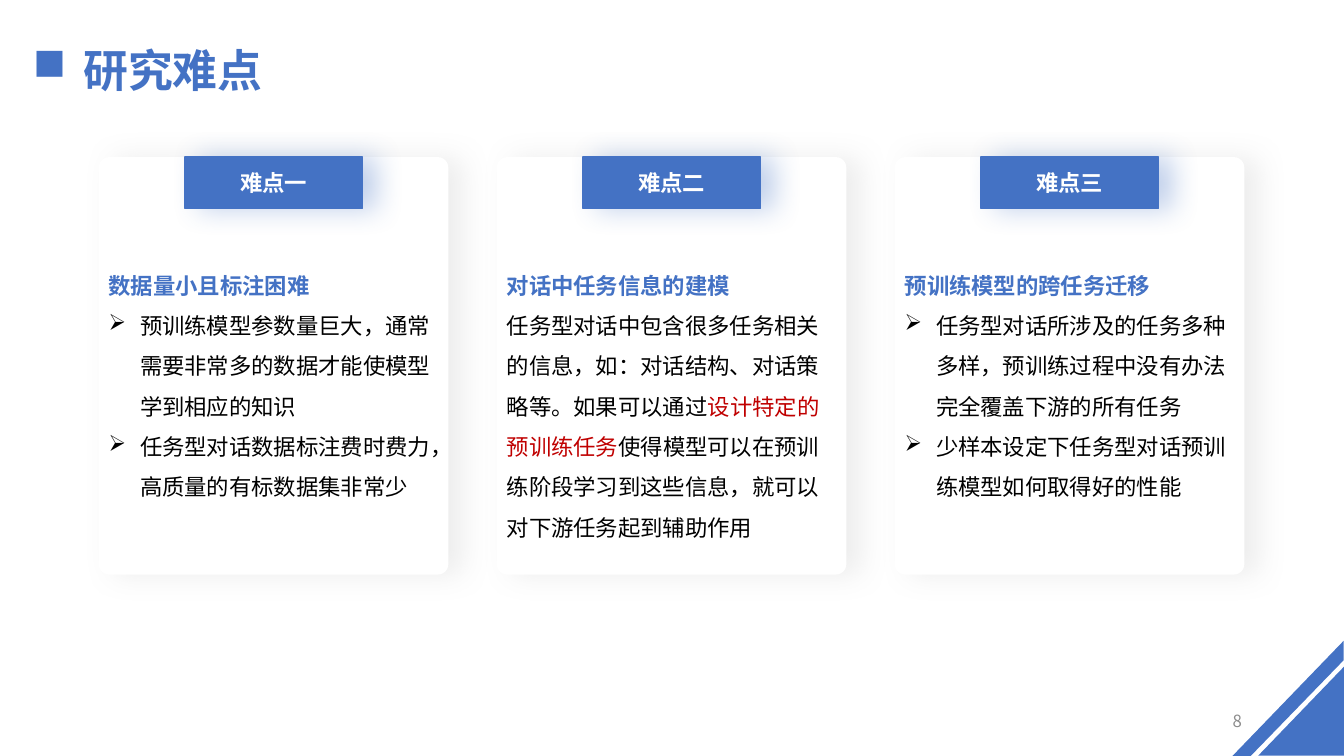
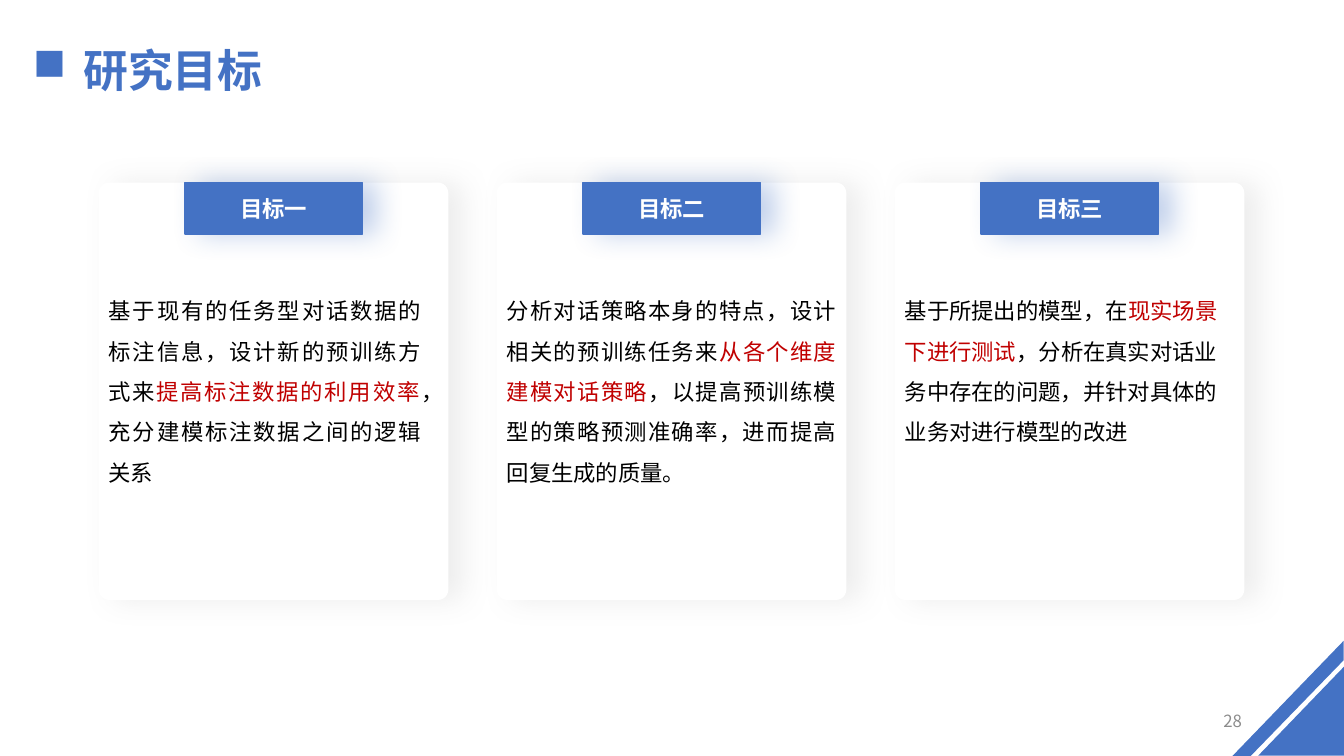
from lxml.etree import SubElement
from pptx import Presentation
from pptx.dml.color import RGBColor
from pptx.enum.shapes import MSO_SHAPE
from pptx.enum.text import MSO_ANCHOR, PP_ALIGN
from pptx.oxml.ns import qn
from pptx.util import Cm, Pt

THEME = {
    "blue": RGBColor.from_string("4472C4"),
    "white": RGBColor.from_string("FFFFFF"),
    "black": RGBColor.from_string("000000"),
    "red": RGBColor.from_string("C00000"),
    "grey": RGBColor.from_string("8C8C8C"),
    "shadow": RGBColor.from_string("A6A6A6"),
    "sans": "Noto Sans CJK SC",
    "serif": "Times New Roman",
    "title": {"size": Pt(32), "bold": True},
    "heading": {"size": Pt(16), "bold": True},
    "body": {"size": Pt(16), "bold": False},
    "number": {"size": Pt(12), "bold": False},
}
# Wingdings characters: filled square and arrowhead
SQUARE, ARROW = "n", "Ø"

# A paragraph is (style, bullet, alignment, runs); a run is (text, colour).
LEFT, JUSTIFY = PP_ALIGN.LEFT, PP_ALIGN.JUSTIFY
SLIDES = [
    {"title": "研究难点", "number": "8", "top": 3.96, "cards": [
        ("难点一", 8.81, [
            ("heading", None, LEFT, [("数据量小且标注困难", "blue")]),
            ("body", ARROW, LEFT, [("预训练模型参数量巨大，通常需要非常多的数据才能使模型学到相应的知识", "black")]),
            ("body", ARROW, LEFT, [("任务型对话数据标注费时费力，高质量的有标数据集非常少", "black")]),
        ]),
        ("难点二", 8.81, [
            ("heading", None, LEFT, [("对话中任务信息的建模", "blue")]),
            ("body", None, LEFT, [
                ("任务型对话中包含很多任务相关的信息，如：对话结构、对话策略等。如果可以通过", "black"),
                ("设计特定的预训练任务", "red"),
                ("使得模型可以在预训练阶段学习到这些信息，就可以对下游任务起到辅助作用", "black"),
            ]),
        ]),
        ("难点三", 8.81, [
            ("heading", None, LEFT, [("预训练模型的跨任务迁移", "blue")]),
            ("body", ARROW, LEFT, [("任务型对话所涉及的任务多种多样，预训练过程中没有办法完全覆盖下游的所有任务", "black")]),
            ("body", ARROW, LEFT, [("少样本设定下任务型对话预训练模型如何取得好的性能", "black")]),
        ]),
    ]},
    {"title": "研究目标", "number": "28", "top": 4.6, "cards": [
        ("目标一", 8.38, [
            ("body", None, JUSTIFY, [
                ("基于现有的任务型对话数据的标注信息，设计新的预训练方式来", "black"),
                ("提高标注数据的利用效率", "red"),
                ("，充分建模标注数据之间的逻辑关系", "black"),
            ]),
        ]),
        ("目标二", 8.81, [
            ("body", None, JUSTIFY, [
                ("分析对话策略本身的特点，设计相关的预训练任务来", "black"),
                ("从各个维度建模对话策略", "red"),
                ("，以提高预训练模型的策略预测准确率，进而提高回复生成的质量。", "black"),
            ]),
        ]),
        ("目标三", 8.81, [
            ("body", None, LEFT, [
                ("基于所提出的模型，在", "black"),
                ("现实场景下进行测试", "red"),
                ("，分析在真实对话业务中存在的问题，并针对具体的业务对进行模型的改进", "black"),
            ]),
        ]),
    ]},
]

CARD_LEFT, CARD_PITCH, CARD_WIDTH, CARD_HEIGHT = 2.49, 10.03, 8.81, 10.52
LABEL_WIDTH, LABEL_HEIGHT = 4.47, 1.3
TEXT_OFFSET, TEXT_HEIGHT = 2.43, 7.3
STRIPE = [(31.06, 19.05), (33.86, 16.15), (33.86, 16.64), (31.52, 19.05)]


def write(shape, paragraphs, font_name, spacing=None, indent=0, anchor=MSO_ANCHOR.TOP):
    """Fill a shape with paragraphs; the indent applies to bulleted ones."""
    frame = shape.text_frame
    frame.word_wrap = True
    frame.vertical_anchor = anchor
    for index, (style, bullet, alignment, runs) in enumerate(paragraphs):
        paragraph = frame.add_paragraph() if index else frame.paragraphs[0]
        paragraph.alignment = alignment
        paragraph.line_spacing = spacing
        if bullet:
            properties = paragraph._p.get_or_add_pPr()
            properties.set("marL", str(Cm(indent)))
            properties.set("indent", str(-Cm(indent)))
            SubElement(properties, qn("a:buFont"), typeface="Wingdings", charset="2")
            SubElement(properties, qn("a:buChar"), char=bullet)
        for text, colour in runs:
            run = paragraph.add_run()
            run.text = text
            for name, value in {**THEME[style], "name": font_name}.items():
                setattr(run.font, name, value)
            run.font.color.rgb = THEME[colour]
            SubElement(run._r.get_or_add_rPr(), qn("a:ea"), typeface=THEME["sans"])


def paint(shape, fill, line=None, shadow=None, opacity=0):
    """Set fill and outline, and a soft shadow to the right if one is named."""
    shape.shadow.inherit = False
    shape.fill.solid()
    shape.fill.fore_color.rgb = THEME[fill]
    if line:
        shape.line.color.rgb = THEME[line]
        shape.line.width = Pt(1)
    else:
        shape.line.fill.background()
    if shadow:
        effects = shape._element.spPr.find(qn("a:effectLst"))
        outer = SubElement(effects, qn("a:outerShdw"), blurRad=str(Pt(20)),
                           dist=str(Pt(10)), dir="0", algn="l", rotWithShape="0")
        colour = SubElement(outer, qn("a:srgbClr"), val=str(THEME[shadow]))
        SubElement(colour, qn("a:alpha"), val=str(opacity * 1000))


presentation = Presentation()
presentation.slide_width = Cm(33.87)
presentation.slide_height = Cm(19.05)

for content in SLIDES:
    slide = presentation.slides.add_slide(presentation.slide_layouts[6])

    title = slide.shapes.add_textbox(Cm(0.58), Cm(0.28), Cm(29.03), Cm(2.06))
    write(title, [("title", SQUARE, LEFT, [(content["title"], "blue")])],
          THEME["sans"], spacing=Pt(57.6), indent=1.27)

    corner = slide.shapes.add_group_shape()
    triangle = corner.shapes.add_shape(MSO_SHAPE.RIGHT_TRIANGLE, Cm(31.67), Cm(16.84), Cm(2.24), Cm(2.16))
    triangle.rotation = 270
    points = [(Cm(x), Cm(y)) for x, y in STRIPE]
    builder = corner.shapes.build_freeform(*points[0])
    builder.add_line_segments(points[1:], close=True)
    for part in (triangle, builder.convert_to_shape()):
        paint(part, "blue")

    top = content["top"]
    for index, (label_text, text_width, paragraphs) in enumerate(content["cards"]):
        left = CARD_LEFT + index * CARD_PITCH
        group = slide.shapes.add_group_shape()

        card = group.shapes.add_shape(MSO_SHAPE.ROUNDED_RECTANGLE, Cm(left), Cm(top),
                                      Cm(CARD_WIDTH), Cm(CARD_HEIGHT))
        card.adjustments[0] = 0.03
        paint(card, "white", shadow="shadow", opacity=20)

        label = group.shapes.add_shape(MSO_SHAPE.RECTANGLE, Cm(left + (CARD_WIDTH - LABEL_WIDTH) / 2),
                                       Cm(top), Cm(LABEL_WIDTH), Cm(LABEL_HEIGHT))
        paint(label, "blue", line="blue", shadow="blue", opacity=32)
        write(label, [("heading", None, PP_ALIGN.CENTER, [(label_text, "white")])],
              THEME["serif"], anchor=MSO_ANCHOR.MIDDLE)

        body = group.shapes.add_textbox(Cm(left), Cm(top + TEXT_OFFSET), Cm(text_width), Cm(TEXT_HEIGHT))
        write(body, paragraphs, THEME["serif"], spacing=Pt(28.8), indent=0.79)

    number = slide.shapes.add_textbox(Cm(23.93), Cm(17.65), Cm(7.62), Cm(1.02))
    write(number, [("number", None, PP_ALIGN.RIGHT, [(content["number"], "grey")])],
          THEME["sans"], anchor=MSO_ANCHOR.MIDDLE)

presentation.save("out.pptx")
